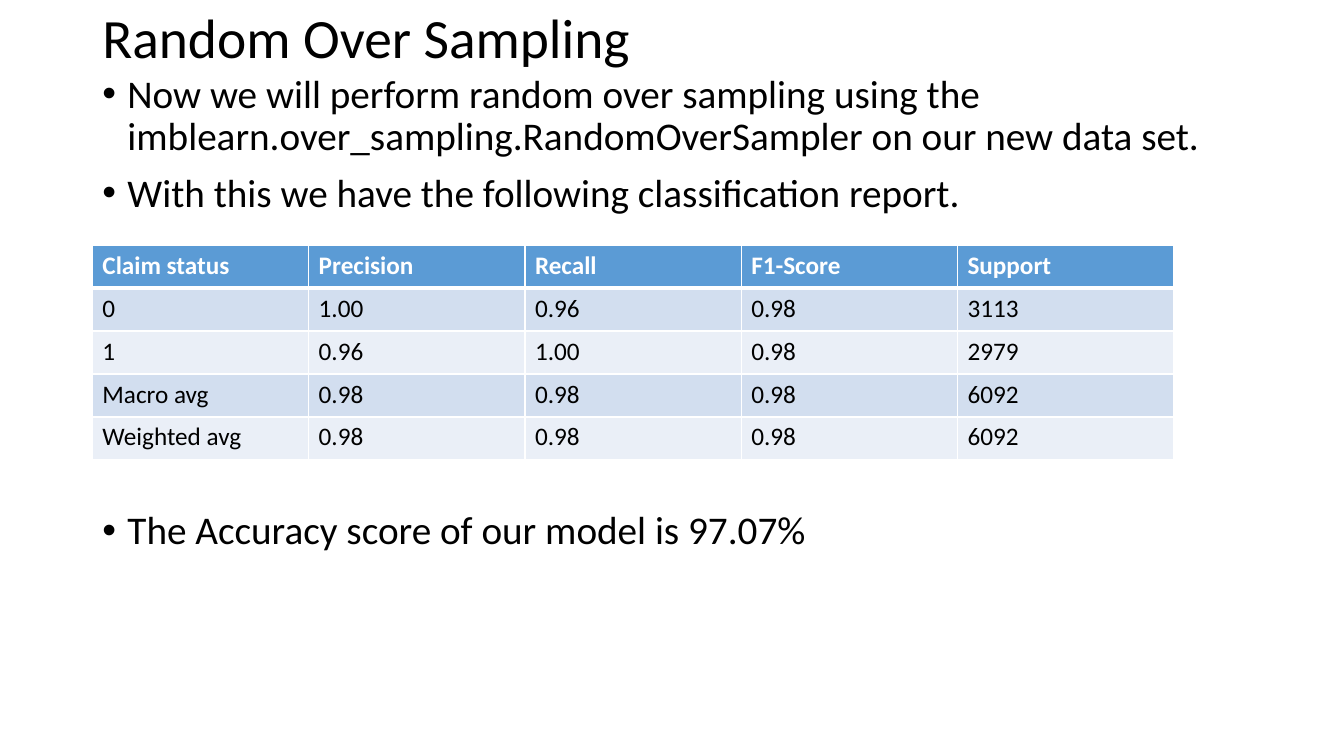
"""Build the random over sampling slide with its classification report."""
from dataclasses import dataclass

from lxml.etree import SubElement
from pptx import Presentation
from pptx.dml.color import RGBColor
from pptx.enum.text import MSO_ANCHOR
from pptx.oxml.ns import qn
from pptx.slide import Slide
from pptx.table import _Cell
from pptx.text.text import TextFrame
from pptx.util import Pt

COLORS = {
    "text": "000000",
    "white": "FFFFFF",
    "head": "5B9BD5",
    "odd": "D2DEEF",
    "even": "EAEFF7",
}
FONT = "Calibri"
LEFT, WIDTH = 66, 828
COL, ROW = 154.5, 30.7


@dataclass
class Point:
    text: str
    before: float = 10


@dataclass
class Record:
    label: str
    scores: tuple[str, str, str]
    support: str


POINTS = [
    Point("Now we will perform random over sampling using the "
          "imblearn.over_sampling.RandomOverSampler on our new data set."),
    Point("With this we have the following classification report."),
    Point("The Accuracy score of our model is 97.07%", before=211),
]
REPORT = [
    Record("Claim status", ("Precision", "Recall", "F1-Score"), "Support"),
    Record("0", ("1.00", "0.96", "0.98"), "3113"),
    Record("1", ("0.96", "1.00", "0.98"), "2979"),
    Record("Macro avg", ("0.98", "0.98", "0.98"), "6092"),
    Record("Weighted avg", ("0.98", "0.98", "0.98"), "6092"),
]


def write(frame: TextFrame, text: str, *, size: float, color: str = "text",
          bold: bool = False, space: float = 1, before: float = 0,
          bullet: bool = False) -> None:
    para = frame.paragraphs[-1]
    if para.runs:
        para = frame.add_paragraph()
    para.line_spacing = space
    para.space_before = Pt(before)
    run = para.add_run()
    run.text = text
    run.font.name = FONT
    run.font.size = Pt(size)
    run.font.bold = bold
    run.font.color.rgb = RGBColor.from_string(COLORS[color])
    if bullet:
        props = para._p.get_or_add_pPr()
        props.set("marL", str(Pt(18)))
        props.set("indent", str(Pt(-18)))
        SubElement(props, qn("a:buFont"), typeface="Arial")
        SubElement(props, qn("a:buChar"), char="•")


def add_box(slide: Slide, top: float, height: float,
            anchor: MSO_ANCHOR) -> TextFrame:
    box = slide.shapes.add_textbox(Pt(LEFT), Pt(top), Pt(WIDTH), Pt(height))
    frame = box.text_frame
    frame.word_wrap = True
    frame.vertical_anchor = anchor
    return frame


def set_edges(cell: _Cell, top: float, bottom: float) -> None:
    props = cell._tc.get_or_add_tcPr()
    for side, width in {"L": 1, "R": 1, "T": top, "B": bottom}.items():
        line = SubElement(props, qn(f"a:ln{side}"), w=str(Pt(width)))
        fill = SubElement(line, qn("a:solidFill"))
        SubElement(fill, qn("a:srgbClr"), val=COLORS["white"])


def add_report(slide: Slide, records: list[Record]) -> None:
    rows = [(item.label, *item.scores, item.support) for item in records]
    count, width = len(rows), len(rows[0])
    table = slide.shapes.add_table(count, width, Pt(LEFT), Pt(175),
                                   Pt(COL * width), Pt(ROW * count)).table
    for column in table.columns:
        column.width = Pt(COL)
    for i, row in enumerate(rows):
        table.rows[i].height = Pt(ROW)
        head = i == 0
        shade = "head" if head else "odd" if i % 2 else "even"
        for j, text in enumerate(row):
            cell = table.cell(i, j)
            set_edges(cell, top=3 if i == 1 else 1, bottom=3 if head else 1)
            cell.fill.solid()
            cell.fill.fore_color.rgb = RGBColor.from_string(COLORS[shade])
            write(cell.text_frame, text, size=18, bold=head,
                  color="white" if head else "text")


def main() -> None:
    deck = Presentation()
    deck.slide_width, deck.slide_height = Pt(960), Pt(540)
    slide = deck.slides.add_slide(deck.slide_layouts[6])
    title = add_box(slide, 8.6, 41, MSO_ANCHOR.MIDDLE)
    write(title, "Random Over Sampling", size=39.6, space=0.9)
    body = add_box(slide, 49.7, 437, MSO_ANCHOR.TOP)
    for point in POINTS:
        write(body, point.text, size=28, space=0.9, before=point.before,
              bullet=True)
    add_report(slide, REPORT)
    deck.save("out.pptx")


if __name__ == "__main__":
    main()
